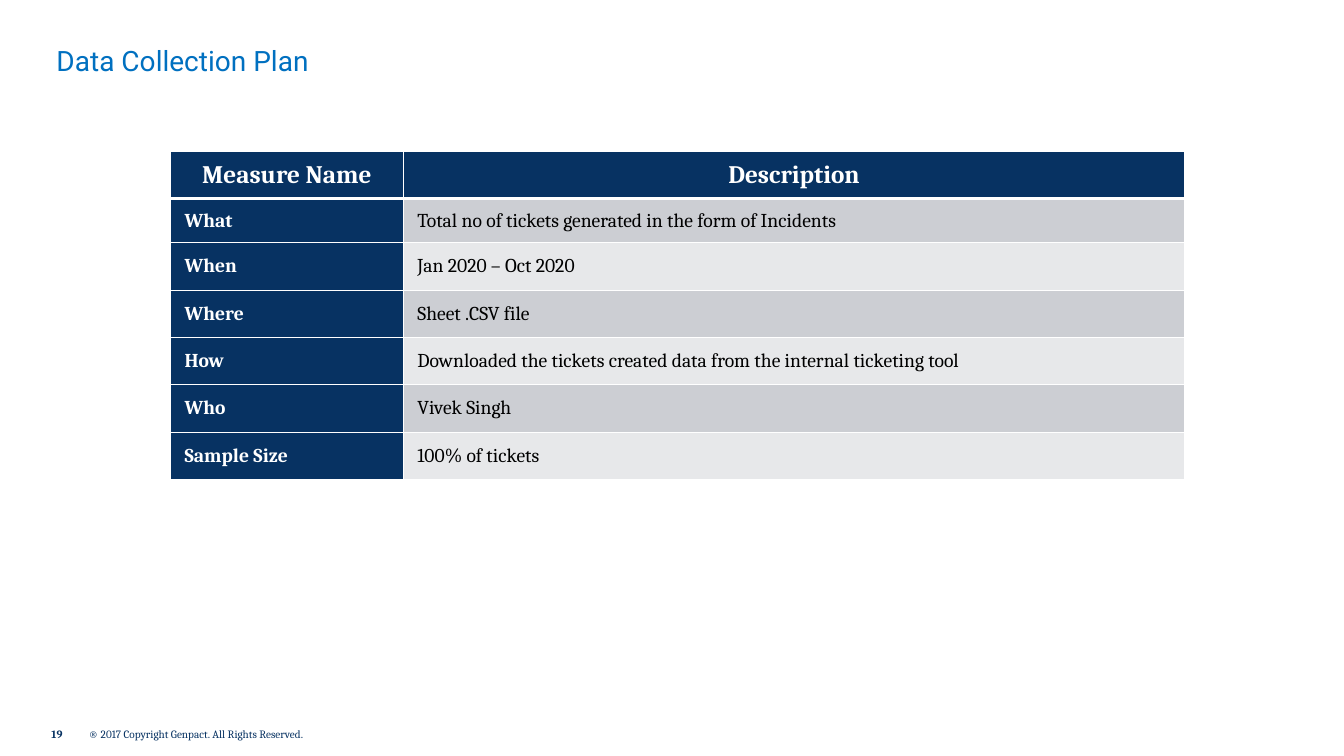
from dataclasses import dataclass

from lxml.etree import SubElement
from pptx import Presentation
from pptx.dml.color import RGBColor
from pptx.enum.text import MSO_ANCHOR, MSO_AUTO_SIZE, PP_ALIGN
from pptx.oxml.ns import qn
from pptx.util import Inches, Pt


@dataclass(frozen=True)
class Theme:
    navy: str = "073262"
    blue: str = "0070C0"
    white: str = "FFFFFF"
    black: str = "000000"
    bands: tuple = ("CCCED3", "E7E8EA")
    title_font: str = "Roboto"
    body_font: str = "Cambria"
    title_size: int = 20
    header_size: int = 18
    body_size: int = 14
    footer_size: int = 8
    thin_rule: int = 1
    thick_rule: int = 3


THEME = Theme()

HEADER = ("Measure Name", "Description")
MEASURES = [
    ("What", "Total no of tickets generated in the form of Incidents"),
    ("When", "Jan 2020 – Oct 2020"),
    ("Where", "Sheet .CSV file"),
    ("How", "Downloaded the tickets created data from the internal ticketing tool"),
    ("Who", "Vivek Singh"),
    ("Sample Size", "100% of tickets"),
]
COLUMN_WIDTHS = (2.31, 7.75)
ROW_HEIGHTS = (0.47, 0.44, 0.47, 0.47, 0.47, 0.47, 0.47)


def write(frame, text, font_name, size, color, bold=False, align=PP_ALIGN.LEFT):
    paragraph = frame.paragraphs[0]
    paragraph.text = text
    paragraph.alignment = align
    font = paragraph.font
    font.name, font.size, font.bold = font_name, Pt(size), bold
    font.color.rgb = RGBColor.from_string(color)


def clear_margins(frame):
    frame.margin_left = frame.margin_right = 0
    frame.margin_top = frame.margin_bottom = 0


def add_title(slide, text, left, top, width, height):
    title = slide.shapes.title
    title.left, title.top = Inches(left), Inches(top)
    title.width, title.height = Inches(width), Inches(height)
    frame = title.text_frame
    clear_margins(frame)
    frame.vertical_anchor = MSO_ANCHOR.TOP
    frame.auto_size = MSO_AUTO_SIZE.SHAPE_TO_FIT_TEXT
    write(frame, text, THEME.title_font, THEME.title_size, THEME.blue)


def add_footer(slide, left, top, height):
    parts = [
        ("19", 0, 0.75, True),
        ("® 2017 Copyright Genpact. All Rights Reserved.", 0.37, 2.58, False),
    ]
    for text, offset, width, bold in parts:
        box = slide.shapes.add_textbox(
            Inches(left + offset), Inches(top), Inches(width), Inches(height))
        frame = box.text_frame
        clear_margins(frame)
        frame.word_wrap = True
        frame.vertical_anchor = MSO_ANCHOR.MIDDLE
        write(frame, text, THEME.body_font, THEME.footer_size, THEME.navy, bold)


def draw_borders(cell, top, bottom):
    """Draw white cell borders; top and bottom are widths in points."""
    properties = cell._tc.get_or_add_tcPr()
    widths = {"a:lnL": THEME.thin_rule, "a:lnR": THEME.thin_rule,
              "a:lnT": top, "a:lnB": bottom}
    for side, width in widths.items():
        line = SubElement(properties, qn(side), w=str(Pt(width)))
        fill = SubElement(line, qn("a:solidFill"))
        SubElement(fill, qn("a:srgbClr"), val=THEME.white)


def style_cell(cell, row, column):
    cell.margin_left = cell.margin_right = Inches(0.14)
    cell.margin_top = cell.margin_bottom = Inches(0.07)
    cell.vertical_anchor = MSO_ANCHOR.MIDDLE
    draw_borders(cell,
                 top=THEME.thick_rule if row == 1 else THEME.thin_rule,
                 bottom=THEME.thick_rule if row == 0 else THEME.thin_rule)
    is_heading = row == 0 or column == 0
    cell.fill.solid()
    cell.fill.fore_color.rgb = RGBColor.from_string(
        THEME.navy if is_heading else THEME.bands[(row - 1) % 2])
    return is_heading


def add_plan_table(slide, left, top):
    rows = [HEADER, *MEASURES]
    plan = slide.shapes.add_table(
        len(rows), len(HEADER), Inches(left), Inches(top),
        Inches(sum(COLUMN_WIDTHS)), Inches(sum(ROW_HEIGHTS))).table
    for column, width in zip(plan.columns, COLUMN_WIDTHS):
        column.width = Inches(width)
    for row, height in zip(plan.rows, ROW_HEIGHTS):
        row.height = Inches(height)
    for r, texts in enumerate(rows):
        for c, text in enumerate(texts):
            cell = plan.cell(r, c)
            is_heading = style_cell(cell, r, c)
            write(cell.text_frame, text, THEME.body_font,
                  THEME.body_size if r else THEME.header_size,
                  THEME.white if is_heading else THEME.black,
                  is_heading, PP_ALIGN.LEFT if r else PP_ALIGN.CENTER)


def main():
    deck = Presentation()
    deck.slide_width, deck.slide_height = Inches(13.33), Inches(7.5)
    title_only = deck.slide_layouts[5]
    slide = deck.slides.add_slide(title_only)
    add_footer(slide, 0.51, 7.16, 0.24)
    add_title(slide, "Data Collection Plan", 0.56, 0.43, 12.33, 0.34)
    add_plan_table(slide, 1.69, 1.5)
    deck.save("out.pptx")


if __name__ == "__main__":
    main()
